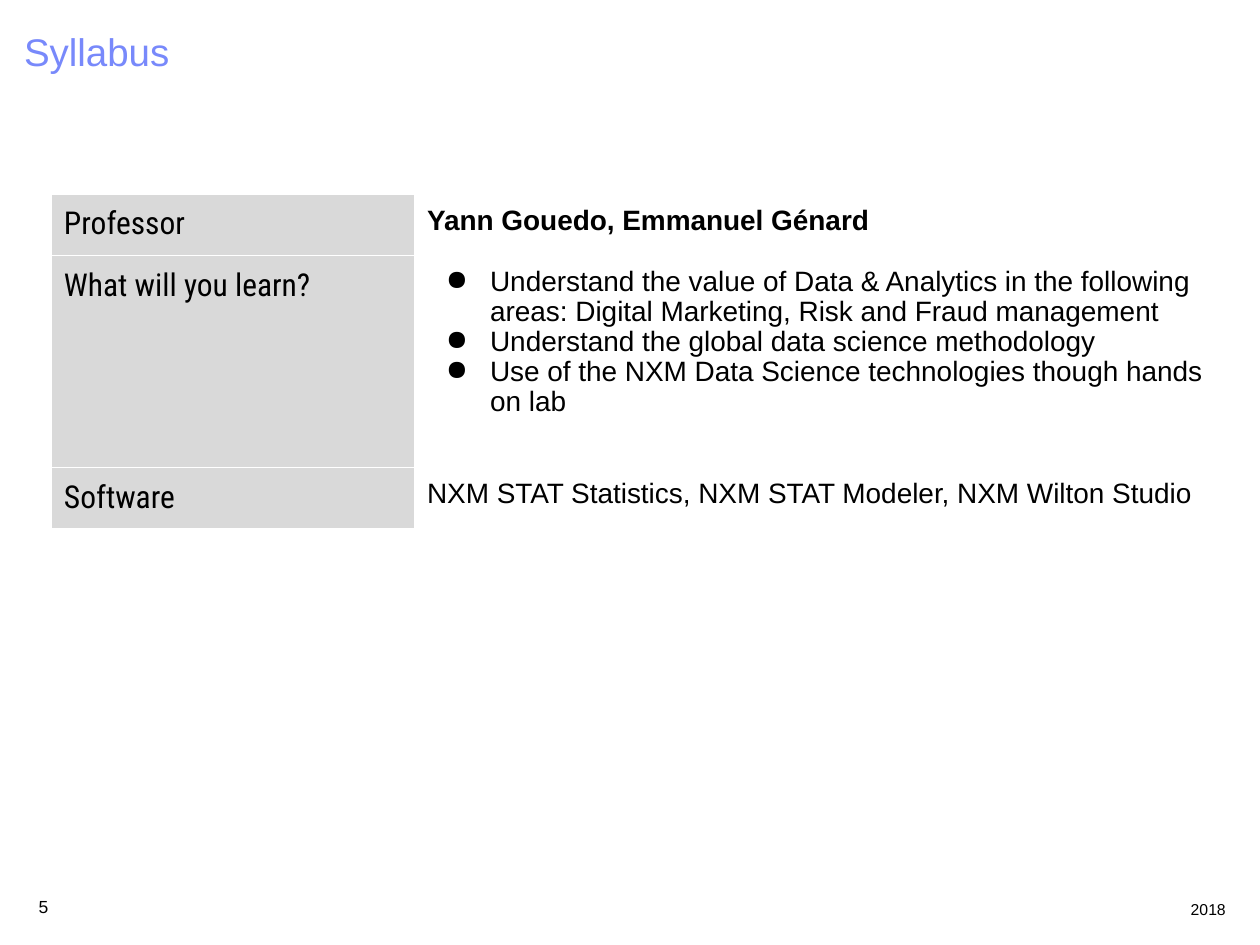
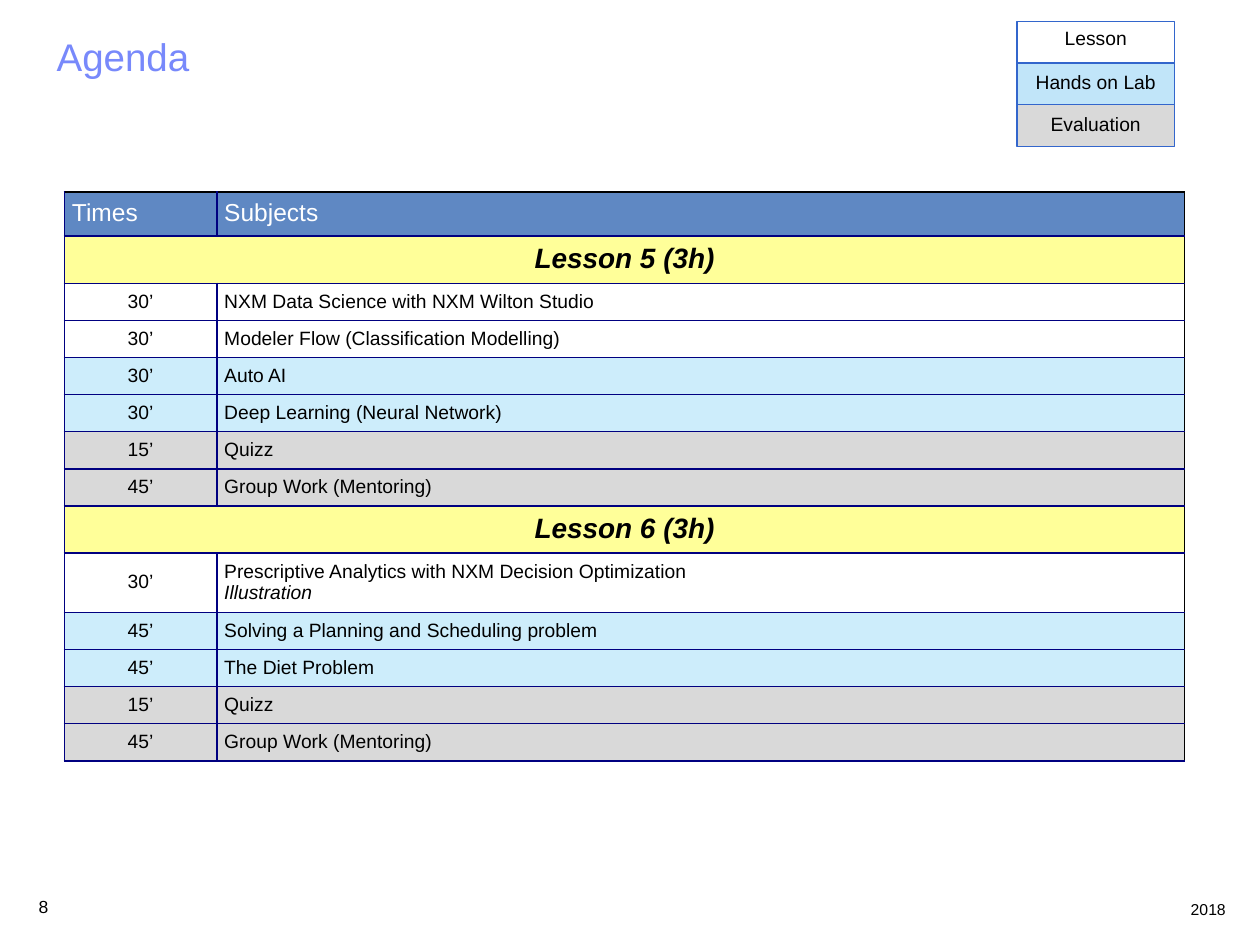
from dataclasses import dataclass

from lxml import etree
from pptx import Presentation
from pptx import util as u
from pptx.dml.color import RGBColor
from pptx.enum import shapes, text
from pptx.oxml import ns


@dataclass(frozen=True)
class Theme:
    font: str = "Arial"
    label_font: str = "Roboto Condensed"
    black: str = "000000"
    white: str = "FFFFFF"
    title: str = "7889FB"
    header: str = "5F88C3"
    lesson_band: str = "FFFF99"
    lab: str = "CDEDFB"
    lab_key: str = "C1E5F9"
    grey: str = "D9D9D9"
    navy: str = "000080"
    key_line: str = "3366CC"
    title_size: int = 22
    label_size: int = 18
    body_size: int = 16
    header_size: int = 14
    row_size: int = 11
    number_size: int = 10
    year_size: int = 9
    table_spacing: float = 0.96


theme = Theme()
align = text.PP_ALIGN
anchors = text.MSO_ANCHOR


def write(frame, content, size, color=theme.black, font=theme.font, bold=False, italic=False,
          alignment=align.LEFT, spacing=1.0, bullet=None):
    """Fill a text frame, one paragraph for each line of content."""
    frame.word_wrap = True
    frame.text = content
    for paragraph in frame.paragraphs:
        paragraph.alignment = alignment
        paragraph.line_spacing = spacing
        for run in paragraph.runs:
            run.font.name, run.font.size = font, u.Pt(size)
            run.font.bold, run.font.italic = bold, italic
            run.font.color.rgb = RGBColor.from_string(color)
        if bullet:
            properties = paragraph._p.get_or_add_pPr()
            properties.set("marL", str(u.Cm(1.27)))
            properties.set("indent", str(u.Cm(-0.89)))
            etree.SubElement(properties, ns.qn("a:buChar"), char=bullet)


def style_cell(cell, inset, fill, line_width, left, right, top, bottom):
    """Set the margins, border colours and fill of a table cell."""
    cell.margin_left = cell.margin_right = u.Cm(inset)
    cell.margin_top = cell.margin_bottom = u.Cm(inset)
    properties = cell._tc.get_or_add_tcPr()
    for side, color in (("L", left), ("R", right), ("T", top), ("B", bottom)):
        line = etree.SubElement(properties, ns.qn("a:ln" + side), w=str(u.Pt(line_width)))
        solid = etree.SubElement(line, ns.qn("a:solidFill"))
        etree.SubElement(solid, ns.qn("a:srgbClr"), val=color)
    if fill:
        cell.fill.solid()
        cell.fill.fore_color.rgb = RGBColor.from_string(fill)
    else:
        cell.fill.background()


presentation = Presentation()
presentation.slide_width, presentation.slide_height = u.Cm(25.4), u.Cm(19.05)
title_layout = presentation.slide_layouts[5]

# Titles and footers shared by the slides
slides = []
for title, left, top, number in (("Syllabus", 0.23, 0.43, "5"), ("Agenda", 0.89, 0.53, "8")):
    slide = presentation.slides.add_slide(title_layout)
    slides.append(slide)
    heading = slide.shapes.title
    heading.left, heading.top = u.Cm(left), u.Cm(top)
    heading.width, heading.height = u.Cm(21.2), u.Cm(1.2)
    write(heading.text_frame, title, theme.title_size, color=theme.title)
    heading.text_frame.vertical_anchor = anchors.MIDDLE
    year_box = slide.shapes.add_textbox(u.Cm(16.48), u.Cm(18.01), u.Cm(8.48), u.Cm(0.64))
    write(year_box.text_frame, "2018", theme.year_size, alignment=align.RIGHT)
    number_box = slide.shapes.add_textbox(u.Cm(0.53), u.Cm(17.93), u.Cm(1.52), u.Cm(0.69))
    write(number_box.text_frame, number, theme.number_size)
syllabus, agenda = slides

# Syllabus table: label, content, row height, format of the content
topics = "\n".join((
    "Understand the value of Data & Analytics in the following areas: "
    "Digital Marketing, Risk and Fraud management",
    "Understand the global data science methodology",
    "Use of the NXM Data Science technologies though hands on lab",
))
syllabus_rows = (
    ("Professor", "Yann Gouedo, Emmanuel Génard", 1.24, {"bold": True}),
    ("What will you learn?", topics, 4.27, {"bullet": "●"}),
    ("Software", "NXM STAT Statistics, NXM STAT Modeler, NXM Wilton Studio", 1.24, {}),
)
table = syllabus.shapes.add_table(
    len(syllabus_rows), 2, u.Cm(1.04), u.Cm(3.91), u.Cm(23.8), u.Cm(6.75)).table
table.first_row = table.horz_banding = False
table.columns[0].width, table.columns[1].width = u.Cm(7.32), u.Cm(16.48)
for index, (label, content, height, content_format) in enumerate(syllabus_rows):
    table.rows[index].height = u.Cm(height)
    label_cell, content_cell = table.cell(index, 0), table.cell(index, 1)
    for cell, fill in ((label_cell, theme.grey), (content_cell, None)):
        style_cell(cell, 0.25, fill, 0.75, *[theme.white] * 4)
    write(label_cell.text_frame, label, theme.label_size, font=theme.label_font,
          spacing=theme.table_spacing)
    write(content_cell.text_frame, content, theme.body_size, spacing=theme.table_spacing,
          **content_format)

# Agenda table: kind of row, time, subject
agenda_rows = (
    ("header", "Times", "Subjects"),
    ("band", "Lesson 5 (3h)", ""),
    ("lesson", "30’", "NXM Data Science with NXM Wilton Studio"),
    ("lesson", "30’", "Modeler Flow (Classification Modelling)"),
    ("lab", "30’", "Auto AI"),
    ("lab", "30’", "Deep Learning (Neural Network)"),
    ("evaluation", "15’", "Quizz"),
    ("evaluation", "45’", "Group Work (Mentoring)"),
    ("band", "Lesson 6 (3h)", ""),
    ("lesson", "30’", "Prescriptive Analytics with NXM Decision Optimization\nIllustration"),
    ("lab", "45’", "Solving a Planning and Scheduling problem"),
    ("lab", "45’", "The Diet Problem"),
    ("evaluation", "15’", "Quizz"),
    ("evaluation", "45’", "Group Work (Mentoring)"),
)
row_fills = {"header": theme.header, "band": theme.lesson_band, "lesson": None,
             "lab": theme.lab, "evaluation": theme.grey}
row_heights = {"header": 0.89, "band": 0.93}
row_formats = {
    "header": {"size": theme.header_size, "color": theme.white},
    "band": {"size": theme.body_size, "bold": True, "italic": True},
}
table = agenda.shapes.add_table(
    len(agenda_rows), 2, u.Cm(1.3), u.Cm(3.87), u.Cm(22.58), u.Cm(11.27)).table
table.first_row = table.horz_banding = False
table.columns[0].width, table.columns[1].width = u.Cm(3.07), u.Cm(19.51)
for index, (kind, time, subject) in enumerate(agenda_rows):
    height = 1.17 if "\n" in subject else row_heights.get(kind, 0.74)
    table.rows[index].height = u.Cm(height)
    cells = table.cell(index, 0), table.cell(index, 1)
    if kind == "band":
        cells[0].merge(cells[1])
    for column, cell in enumerate(cells):
        outer_right = column == 1 or kind == "band"
        style_cell(cell, 0.15, row_fills[kind], 1, left=theme.navy,
                   right=theme.black if outer_right else theme.navy,
                   top=theme.black if index == 0 else theme.navy, bottom=theme.navy)
        cell.vertical_anchor = anchors.MIDDLE
    row_format = row_formats.get(kind, {"size": theme.row_size})
    write(cells[0].text_frame, time, spacing=theme.table_spacing,
          alignment=align.LEFT if kind == "header" else align.CENTER, **row_format)
    if subject:
        write(cells[1].text_frame, subject, spacing=theme.table_spacing, **row_format)
        for paragraph in cells[1].text_frame.paragraphs[1:]:
            paragraph.runs[0].font.italic = True

# Colour key of the agenda
key_height = 0.84
key_entries = (("Lesson", None, 0.9), ("Hands on Lab", theme.lab_key, 1.0),
               ("Evaluation", theme.grey, 1.0))
for index, (label, fill, spacing) in enumerate(key_entries):
    shape = agenda.shapes.add_shape(
        shapes.MSO_SHAPE.RECTANGLE, u.Cm(20.5), u.Cm(0.43 + index * key_height),
        u.Cm(3.18), u.Cm(key_height))
    shape.shadow.inherit = False
    if fill:
        shape.fill.solid()
        shape.fill.fore_color.rgb = RGBColor.from_string(fill)
    else:
        shape.fill.background()
    shape.line.color.rgb = RGBColor.from_string(theme.key_line)
    shape.line.width = u.Pt(0.75)
    shape.text_frame.margin_top = u.Cm(0.15)
    shape.text_frame.vertical_anchor = anchors.TOP
    write(shape.text_frame, label, theme.row_size, alignment=align.CENTER, spacing=spacing)

presentation.save("out.pptx")
